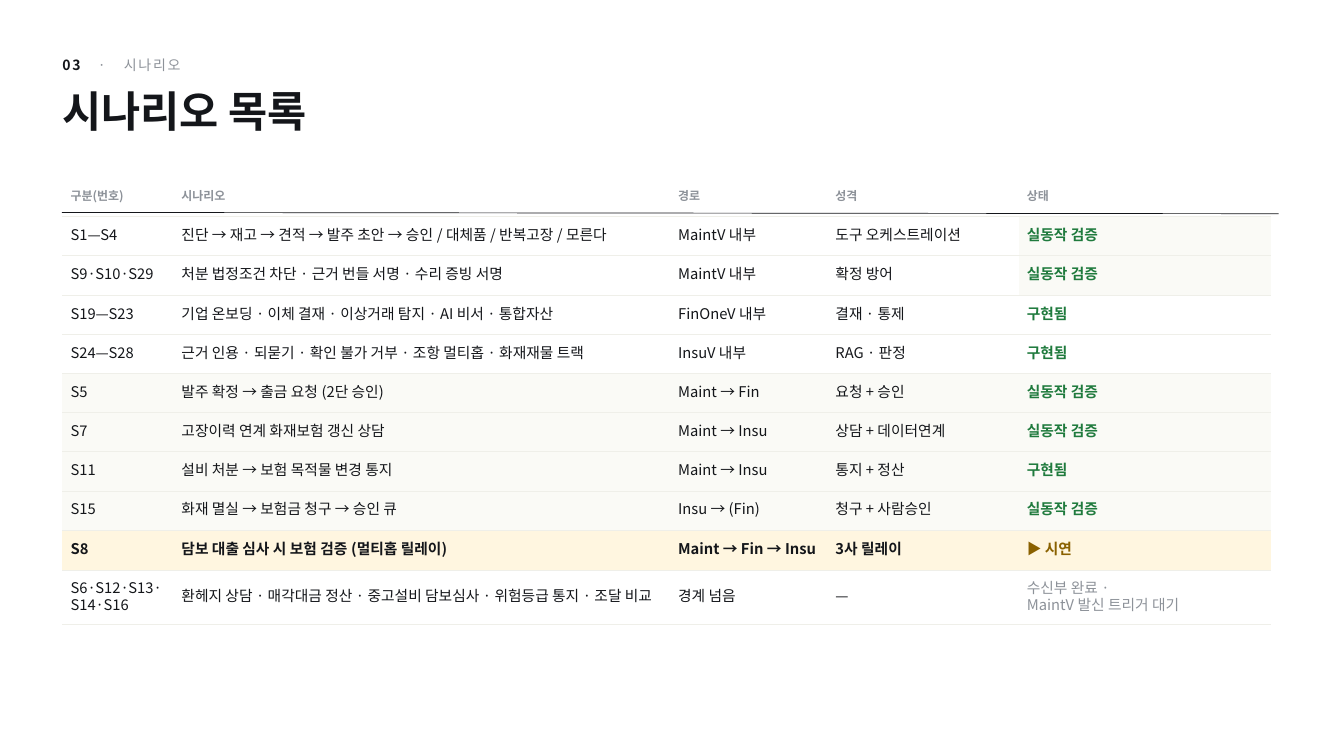
import dataclasses

import pptx
import pptx.dml.color
import pptx.enum.shapes
import pptx.enum.text
import pptx.oxml
import pptx.oxml.ns
import pptx.util

Pt = pptx.util.Pt
MIDDLE = pptx.enum.text.MSO_ANCHOR.MIDDLE
TOP = pptx.enum.text.MSO_ANCHOR.TOP
NS = pptx.oxml.ns.nsdecls("a")


@dataclasses.dataclass(frozen=True)
class Theme:
    font: str = "Noto Sans CJK KR"
    ink: str = "14161A"
    muted: str = "8D9299"
    green: str = "1F7A3D"
    amber: str = "8A6100"
    white: str = "FFFFFF"
    tint: str = "FAFAF6"
    highlight: str = "FFF6E0"
    rule: str = "EFEFE9"
    label: float = 15
    title: float = 45.6
    header: float = 12.8
    body: float = 15.8


def rgb(value):
    return pptx.dml.color.RGBColor.from_string(value)


def add_run(p, text, *, font, size, color, bold=False, spacing=0):
    r = p.add_run()
    r.text = text
    r.font.name = font
    r.font.size = Pt(size)
    r.font.bold = bold
    r.font.color.rgb = rgb(color)
    rPr = r._r.get_or_add_rPr()
    if spacing:
        rPr.set("spc", str(round(spacing * 100)))
    rPr.append(pptx.oxml.parse_xml(f'<a:ea {NS} typeface="{font}"/>'))
    return r


class Deck:
    def __init__(self, prs, theme):
        self.theme = theme
        self.s = prs.slides.add_slide(prs.slide_layouts[6])

    def text(self, x, y, w, h, runs, leading, anchor=TOP, tabs=()):
        tf = self.s.shapes.add_textbox(Pt(x), Pt(y), Pt(w), Pt(h)).text_frame
        tf.word_wrap = True
        tf.vertical_anchor = anchor
        tf.margin_left = tf.margin_right = tf.margin_top = tf.margin_bottom = 0
        p = tf.paragraphs[0]
        p.line_spacing = Pt(leading)
        if tabs:
            stops = "".join(f'<a:tab pos="{Pt(t)}" algn="l"/>' for t in tabs)
            p._p.get_or_add_pPr().append(
                pptx.oxml.parse_xml(f"<a:tabLst {NS}>{stops}</a:tabLst>"))
        for text, style in runs:
            add_run(p, text, font=self.theme.font, **style)

    def cell(self, cell, text, fill, leading, **style):
        cell.margin_left = cell.margin_right = Pt(8.8)
        cell.margin_top = cell.margin_bottom = Pt(8.8)
        cell.vertical_anchor = MIDDLE
        tcPr = cell._tc.get_or_add_tcPr()
        for side in ("lnL", "lnR", "lnT"):
            tcPr.append(pptx.oxml.parse_xml(
                f'<a:{side} {NS} w="0"><a:noFill/></a:{side}>'))
        tcPr.append(pptx.oxml.parse_xml(
            f'<a:lnB {NS} w="{Pt(0.5)}"><a:solidFill>'
            f'<a:srgbClr val="{self.theme.rule}"/></a:solidFill></a:lnB>'))
        cell.fill.solid()
        cell.fill.fore_color.rgb = rgb(fill)
        tf = cell.text_frame
        for i, line in enumerate(text.split("\n")):
            p = tf.add_paragraph() if i else tf.paragraphs[0]
            p.line_spacing = Pt(leading)
            add_run(p, line, font=self.theme.font, **style)

    def table(self, x, y, widths, heights, header, rows):
        t = self.theme
        table = self.s.shapes.add_table(
            len(heights), len(widths), Pt(x), Pt(y),
            Pt(sum(widths)), Pt(sum(heights))).table
        table.first_row = table.horz_banding = False
        for column, width in zip(table.columns, widths):
            column.width = Pt(width)
        for row, height in zip(table.rows, heights):
            row.height = Pt(height)
        for c, text in enumerate(header):
            self.cell(table.cell(0, c), text, t.white, 15.3,
                      size=t.header, color=t.muted, bold=True)
        for r, (fill, status_fill, status_color, *texts) in enumerate(rows, 1):
            for c, text in enumerate(texts):
                status = c == len(texts) - 1
                bold = fill == t.highlight or (status and status_color == t.green)
                self.cell(table.cell(r, c), text,
                          status_fill if status else fill, 18.9, size=t.body,
                          color=status_color if status else t.ink, bold=bold)

    def line(self, x1, y1, x2, y2, color, width):
        sp = self.s.shapes.add_connector(
            pptx.enum.shapes.MSO_CONNECTOR.STRAIGHT,
            Pt(x1), Pt(y1), Pt(x2), Pt(y2))
        sp.line.color.rgb = rgb(color)
        sp.line.width = Pt(width)
        sp._element.spPr.append(pptx.oxml.parse_xml(f"<a:effectLst {NS}/>"))


def main():
    prs = pptx.Presentation()
    prs.slide_width, prs.slide_height = Pt(1440), Pt(810)
    t = Theme()
    deck = Deck(prs, t)

    label = dict(size=t.label, spacing=1.8)
    deck.text(66.8, 52.6, 892, 33.8,
              [("03", dict(label, color=t.ink, bold=True)),
               ("\t·\t시나리오", dict(label, color=t.muted))],
              18, anchor=MIDDLE, tabs=(38, 66))
    deck.text(66.8, 88.6, 1302, 58.3,
              [("시나리오 목록", dict(size=t.title, color=t.ink, bold=True))], 57)

    header = ["구분(번호)", "시나리오", "경로", "성격", "상태"]
    verified, built = "실동작 검증", "구현됨"
    plain = (t.white, t.white, t.green)
    proven = (t.white, t.tint, t.green)
    linked = (t.tint, t.tint, t.green)
    demo = (t.highlight, t.highlight, t.amber)
    pending = (t.white, t.white, t.muted)
    rows = [
        (*proven, "S1—S4",
         "진단 → 재고 → 견적 → 발주 초안 → 승인 / 대체품 / 반복고장 / 모른다",
         "MaintV 내부", "도구 오케스트레이션", verified),
        (*proven, "S9·S10·S29", "처분 법정조건 차단 · 근거 번들 서명 · 수리 증빙 서명",
         "MaintV 내부", "확정 방어", verified),
        (*plain, "S19—S23",
         "기업 온보딩 · 이체 결재 · 이상거래 탐지 · AI 비서 · 통합자산",
         "FinOneV 내부", "결재 · 통제", built),
        (*plain, "S24—S28",
         "근거 인용 · 되묻기 · 확인 불가 거부 · 조항 멀티홉 · 화재재물 트랙",
         "InsuV 내부", "RAG · 판정", built),
        (*linked, "S5", "발주 확정 → 출금 요청 (2단 승인)",
         "Maint → Fin", "요청 + 승인", verified),
        (*linked, "S7", "고장이력 연계 화재보험 갱신 상담",
         "Maint → Insu", "상담 + 데이터연계", verified),
        (*linked, "S11", "설비 처분 → 보험 목적물 변경 통지",
         "Maint → Insu", "통지 + 정산", built),
        (*linked, "S15", "화재 멸실 → 보험금 청구 → 승인 큐",
         "Insu → (Fin)", "청구 + 사람승인", verified),
        (*demo, "S8", "담보 대출 심사 시 보험 검증 (멀티홉 릴레이)",
         "Maint → Fin → Insu", "3사 릴레이", "▶ 시연"),
        (*pending, "S6·S12·S13·S14·S16",
         "환헤지 상담 · 매각대금 정산 · 중고설비 담보심사 · 위험등급 통지 · 조달 비교",
         "경계 넘음", "—", "수신부 완료 ·\nMaintV 발신 트리거 대기"),
    ]
    deck.table(66.8, 190, [118.8, 532.2, 168.6, 205, 270],
               [42] * 9 + [43, 58.3], header, rows)
    deck.line(66.4, 227.6, 1370, 229, t.ink, 0.75)

    prs.save("out.pptx")


if __name__ == "__main__":
    main()
